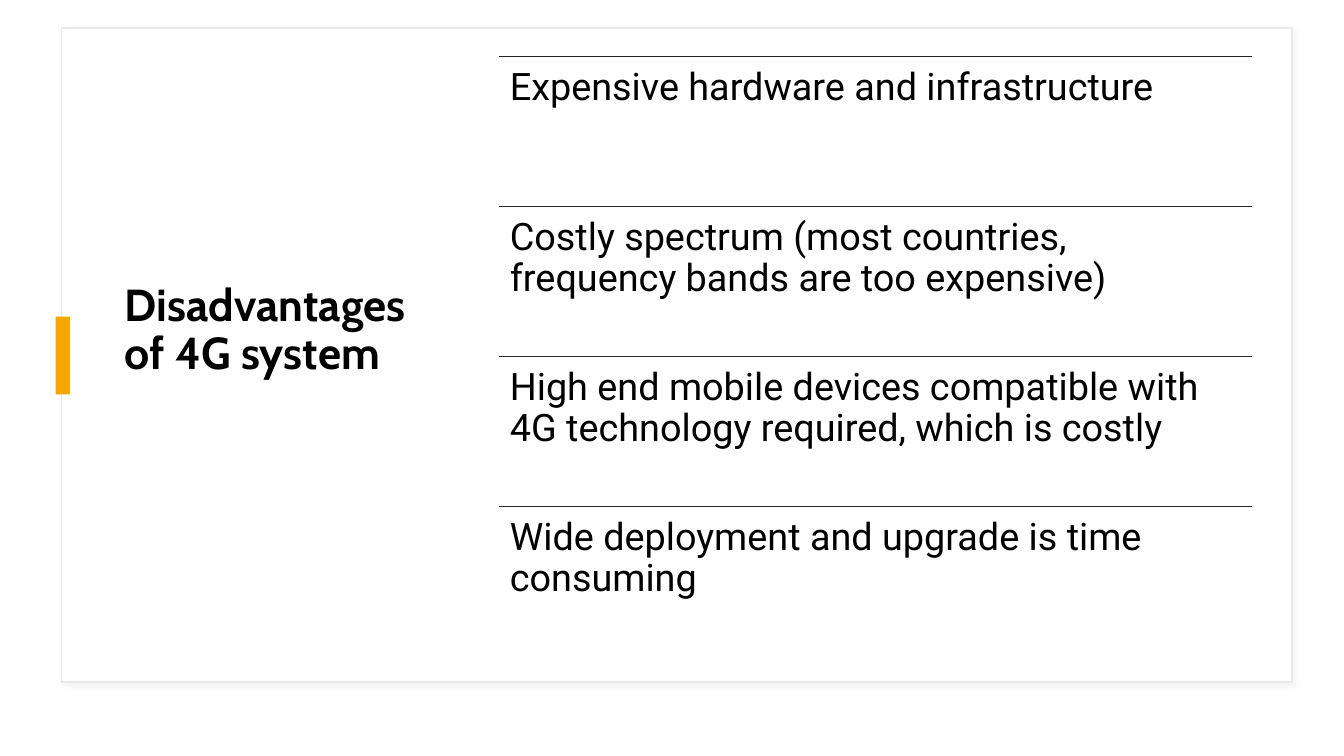
from lxml import etree
from pptx import Presentation
from pptx.dml.color import RGBColor
from pptx.enum import shapes, text
from pptx.oxml import parse_xml
from pptx.oxml.ns import nsdecls, qn
from pptx.util import Cm, Pt

WHITE = RGBColor(0xFF, 0xFF, 0xFF)
BLACK = RGBColor(0, 0, 0)
CARD_EDGE = RGBColor(0xE9, 0xE9, 0xE9)
CARD_SHADOW = RGBColor(0xD9, 0xD9, 0xD9)
AMBER = RGBColor(0xF5, 0xA7, 0x00)
RULE = RGBColor(0x26, 0x26, 0x26)

DISADVANTAGES = [
    "Expensive hardware and infrastructure",
    "Costly spectrum (most countries, frequency bands are too expensive)",
    "High end mobile devices compatible with 4G technology required, which is costly",
    "Wide deployment and upgrade is time consuming",
]
LIST_LEFT, LIST_TOP, LIST_WIDTH = Cm(12.57), Cm(1.42), Cm(18.97)
ROW_HEIGHT = Cm(3.78)
ROW_INSET = Cm(0.28)


def add_rectangle(page, left, top, width, height, fill, edge=None):
    box = page.shapes.add_shape(
        shapes.MSO_SHAPE.RECTANGLE, left, top, width, height)
    box.shadow.inherit = False
    box.fill.solid()
    box.fill.fore_color.rgb = fill
    if edge is None:
        box.line.fill.background()
    else:
        box.line.color.rgb = edge
        box.line.width = Pt(1)
    return box


def add_soft_shadow(box, color):
    """Give the box a faint shadow towards the lower right."""
    effects = box._element.spPr.find(qn("a:effectLst"))
    effects.append(parse_xml(
        f'<a:outerShdw {nsdecls("a")} blurRad="{Pt(4)}" dist="{Pt(3)}" '
        f'dir="2700000" algn="tl" rotWithShape="0"><a:srgbClr val="{color}">'
        '<a:alpha val="30000"/></a:srgbClr></a:outerShdw>'))


def add_rule(page, left, top, width):
    rule = page.shapes.add_connector(
        shapes.MSO_CONNECTOR.STRAIGHT, left, top, left + width, top)
    rule.line.color.rgb = RULE
    rule.line.width = Pt(1)
    etree.SubElement(rule._element.spPr, qn("a:effectLst"))


def add_text(page, left, top, width, height, words, font, size, bold=False):
    box = page.shapes.add_textbox(left, top, width, height)
    frame = box.text_frame
    frame.word_wrap = True
    frame.text = words
    para = frame.paragraphs[0]
    para.line_spacing = 0.9
    span = para.runs[0]
    span.font.name = font
    span.font.size = Pt(size)
    span.font.bold = bold
    span.font.color.rgb = BLACK
    return frame


def add_title(page):
    frame = add_text(page, Cm(2.9), Cm(1.4), Cm(8.31), Cm(15.11),
                     "Disadvantages of 4G system", "Cabin", 32, bold=True)
    frame.vertical_anchor = text.MSO_ANCHOR.MIDDLE
    frame.margin_bottom = Cm(1.35)


def add_row(page, top, words):
    add_rule(page, LIST_LEFT, top, LIST_WIDTH)
    frame = add_text(page, LIST_LEFT, top, LIST_WIDTH, ROW_HEIGHT,
                     words, "Roboto", 27)
    frame.margin_left = frame.margin_right = ROW_INSET
    frame.margin_top = frame.margin_bottom = ROW_INSET


def main():
    deck = Presentation()
    deck.slide_width, deck.slide_height = Cm(33.87), Cm(19.05)
    page = deck.slides.add_slide(deck.slide_layouts[6])

    card = add_rectangle(page, Cm(1.55), Cm(0.71), Cm(31.01), Cm(16.48),
                         WHITE, CARD_EDGE)
    add_soft_shadow(card, CARD_SHADOW)
    add_title(page)
    add_rectangle(page, Cm(1.4), Cm(7.98), Cm(0.36), Cm(1.96), AMBER)
    for index, words in enumerate(DISADVANTAGES):
        add_row(page, LIST_TOP + index * ROW_HEIGHT, words)

    deck.save("out.pptx")


if __name__ == "__main__":
    main()
